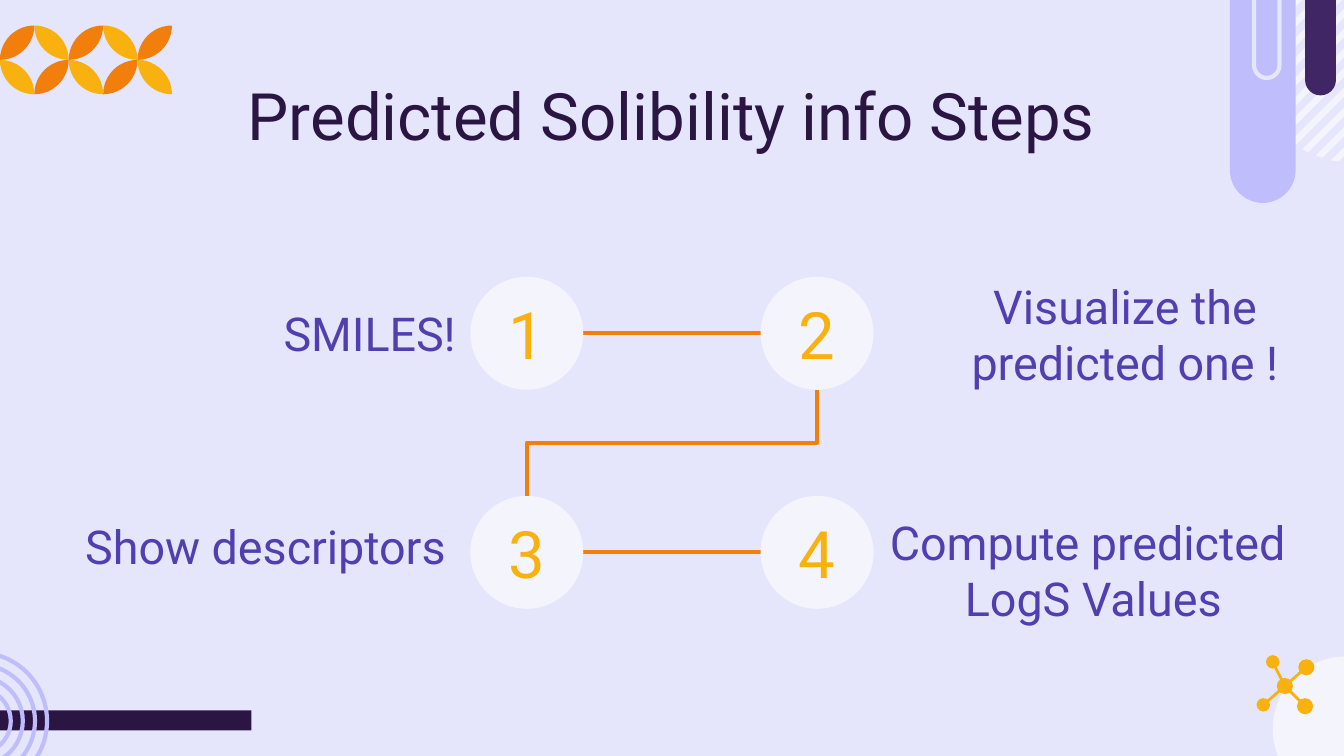
from math import cos, pi, sin, sqrt

from lxml.etree import SubElement
from pptx import Presentation
from pptx.dml.color import RGBColor
from pptx.enum.shapes import MSO_CONNECTOR as CXN, MSO_SHAPE as SHAPE
from pptx.enum.text import MSO_ANCHOR, PP_ALIGN as ALIGN
from pptx.oxml.ns import qn
from pptx.util import Inches, Pt

FONT = "Roboto"
LAVENDER, PALE, LILAC = "E5E6FC", "F4F4FD", "BFBDFC"
DARK, PURPLE, VIOLET = "2A1543", "402664", "523FAF"
ORANGE, YELLOW = "F27F0C", "F9B110"


def rgb(color):
    return RGBColor.from_string(color)


def paint(sp, fill=None, line=None):
    sp.shadow.inherit = False
    if fill:
        sp.fill.solid()
        sp.fill.fore_color.rgb = rgb(fill)
    else:
        sp.fill.background()
    if line:
        sp.line.color.rgb = rgb(line)
        sp.line.width = Pt(2.25)
    else:
        sp.line.fill.background()
    return sp


def add_shape(s, kind, x, y, w, h, fill=None, line=None):
    sp = s.shapes.add_shape(kind, Inches(x), Inches(y), Inches(w), Inches(h))
    return paint(sp, fill, line)


def add_disc(s, cx, cy, r, fill=None, line=None):
    return add_shape(s, SHAPE.OVAL, cx - r, cy - r, 2 * r, 2 * r, fill, line)


def add_polygon(s, points, fill):
    points = [(Inches(x), Inches(y)) for x, y in points]
    builder = s.shapes.build_freeform(*points[0])
    builder.add_line_segments(points[1:], close=True)
    return paint(builder.convert_to_shape(), fill)


def add_line(s, kind, x1, y1, x2, y2, color, width):
    ln = s.shapes.add_connector(kind, Inches(x1), Inches(y1), Inches(x2), Inches(y2))
    ln.line.color.rgb = rgb(color)
    ln.line.width = Pt(width)
    SubElement(ln._element.spPr, qn("a:effectLst"))
    return ln


def set_text(sp, text, size, color, align):
    tf = sp.text_frame
    tf.word_wrap = True
    tf.vertical_anchor = MSO_ANCHOR.MIDDLE
    tf.margin_left = tf.margin_right = tf.margin_top = tf.margin_bottom = Inches(0.1)
    tf.text = text
    p = tf.paragraphs[0]
    p.alignment = align
    font = p.runs[0].font
    font.name, font.size, font.color.rgb = FONT, Pt(size), rgb(color)


def add_text(s, x, y, w, h, text, size, color, align=ALIGN.CENTER):
    box = s.shapes.add_textbox(Inches(x), Inches(y), Inches(w), Inches(h))
    set_text(box, text, size, color, align)


def striped_disc(s, cx, cy, r, count=12, pitch=0.147, band=0.065):
    """Diagonal bands whose ends lie on a circle."""
    def chord(offset):
        half = sqrt(r * r - offset * offset / 2) / sqrt(2)
        mx, my = cx + offset / 2, cy + offset / 2
        return [(mx + half, my - half), (mx - half, my + half)]

    for i in range(count):
        middle = (i - (count - 1) / 2) * pitch - 0.19
        add_polygon(s, chord(middle - band / 2) + chord(middle + band / 2)[::-1], PALE)


def pill(s, x, y, w, h, fill=None, line=None):
    """Bar with a rounded lower end."""
    sp = add_shape(s, SHAPE.ROUND_2_SAME_RECTANGLE, x, y, w, h, fill, line)
    sp.adjustments[0] = 0.5
    sp.rotation = 180


def petal_band(s, x, y, size, columns):
    angles = [pi / 2 * i / 12 for i in range(13)]
    lens = [(sin(t), 1 - cos(t)) for t in angles]
    lens += [(1 - sin(t), cos(t)) for t in angles[1:-1]]
    for col in range(columns):
        for row in range(2):
            rising = (row + col) % 2 == 0
            points = [(x + size * (col + (1 - u if rising else u)), y + size * (row + v))
                      for u, v in lens]
            add_polygon(s, points, ORANGE if rising else YELLOW)


def molecule(s, x, y):
    hub = (x + 0.22, y + 0.22)
    atoms = [(0.13, 0.04, 0.05), (0.38, 0.08, 0.06), (0.06, 0.36, 0.05), (0.37, 0.37, 0.06)]
    for dx, dy, r in atoms:
        add_line(s, CXN.STRAIGHT, *hub, x + dx, y + dy, YELLOW, 1.5)
        add_disc(s, x + dx, y + dy, r, YELLOW)
    add_disc(s, *hub, 0.06, YELLOW)


def decoration(s, width, height):
    add_shape(s, SHAPE.RECTANGLE, -0.25, height - 0.34, 2.12, 0.15, DARK)
    add_disc(s, width + 0.01, height - 0.2, 0.54, PALE)
    for r in (0.51, 0.42, 0.33, 0.24):
        add_disc(s, -0.16, height - 0.26, r, line=LILAC)
    striped_disc(s, width + 0.07, 0.44, 0.77)
    pill(s, width - 0.29, -0.03, 0.23, 0.74, PURPLE)
    pill(s, width - 0.85, -0.03, 0.49, 1.54, LILAC)
    pill(s, width - 0.67, -0.03, 0.19, 0.61, line=LAVENDER)
    petal_band(s, 0, 0.19, 0.256, 5)
    molecule(s, width - 0.66, height - 0.74)


def step_diagram(s, x, y, size=0.84, dx=2.16, dy=1.63):
    """Four numbered circles on a 2 x 2 grid, joined in reading order."""
    r = size / 2
    for row in range(2):
        cy = y + row * dy + r
        add_line(s, CXN.STRAIGHT, x + size, cy, x + dx, cy, ORANGE, 2.25)
        for col in range(2):
            sp = add_shape(s, SHAPE.FLOWCHART_CONNECTOR, x + col * dx, y + row * dy,
                           size, size, PALE)
            set_text(sp, str(2 * row + col + 1), 35, YELLOW, ALIGN.CENTER)
    # A quarter turn makes the elbow leave and arrive vertically
    mx, my, gap = x + r + dx / 2, y + r + dy / 2, dy - size
    elbow = add_line(s, CXN.ELBOW, mx - gap / 2, my - dx / 2, mx + gap / 2, my + dx / 2,
                     ORANGE, 2.25)
    elbow._element.spPr.find(qn("a:xfrm")).set("rot", str(90 * 60000))


def step_labels(s):
    labels = [
        (1.15, 2.3, 2.34, 0.36, "SMILES!", ALIGN.RIGHT),
        (6.67, 1.99, 3.4, 0.98, "Visualize the predicted one !", ALIGN.CENTER),
        (0.36, 3.9, 3.14, 0.32, "Show descriptors ", ALIGN.RIGHT),
        (6.36, 4.06, 3.55, 0.36, "Compute predicted  LogS Values", ALIGN.CENTER),
    ]
    for x, y, w, h, text, align in labels:
        add_text(s, x, y, w, h, text, 25, VIOLET, align)


def main():
    width, height = 10, 5.625  # 16:9
    prs = Presentation()
    prs.slide_width, prs.slide_height = Inches(width), Inches(height)
    s = prs.slides.add_slide(prs.slide_layouts[6])
    s.background.fill.solid()
    s.background.fill.fore_color.rgb = rgb(LAVENDER)
    decoration(s, width, height)
    add_text(s, 0.78, 0.59, 8.44, 0.52, "Predicted Solibility info Steps", 35, DARK)
    step_labels(s)
    step_diagram(s, 3.5, 2.06)
    prs.save("out.pptx")


if __name__ == "__main__":
    main()
